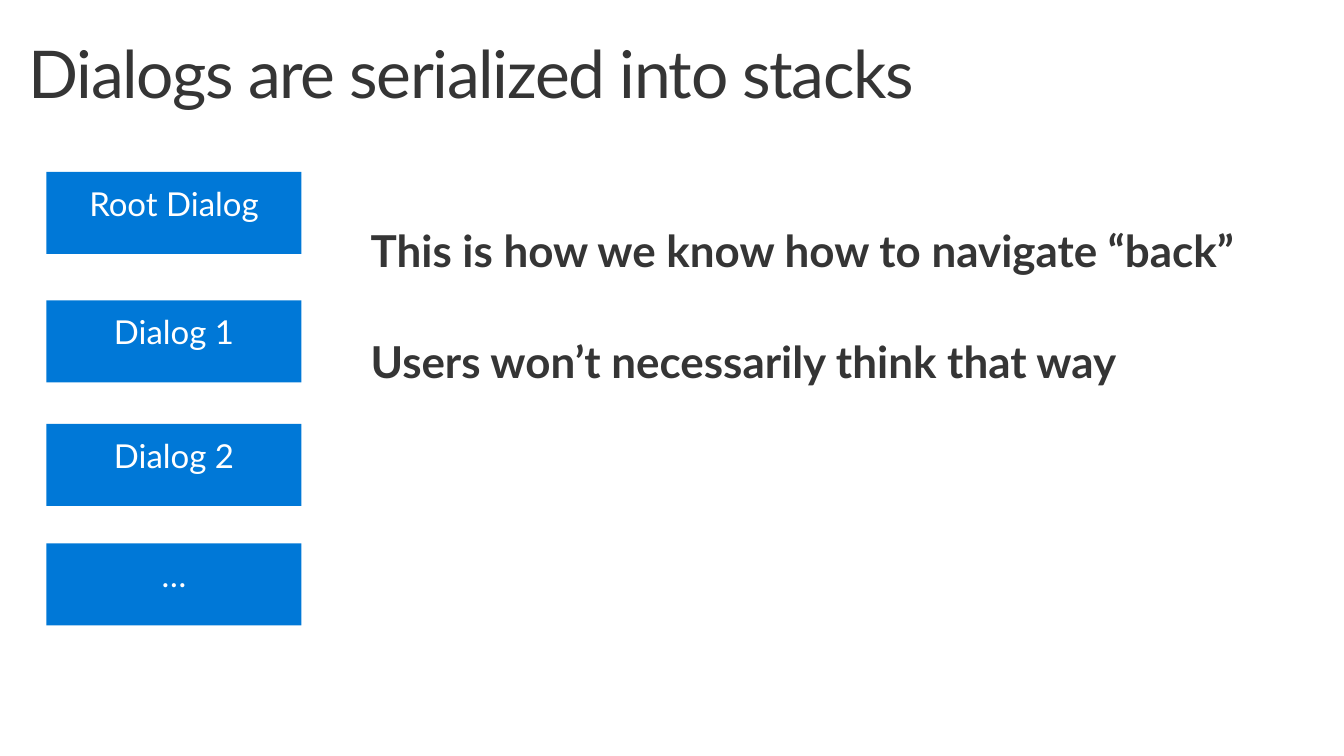
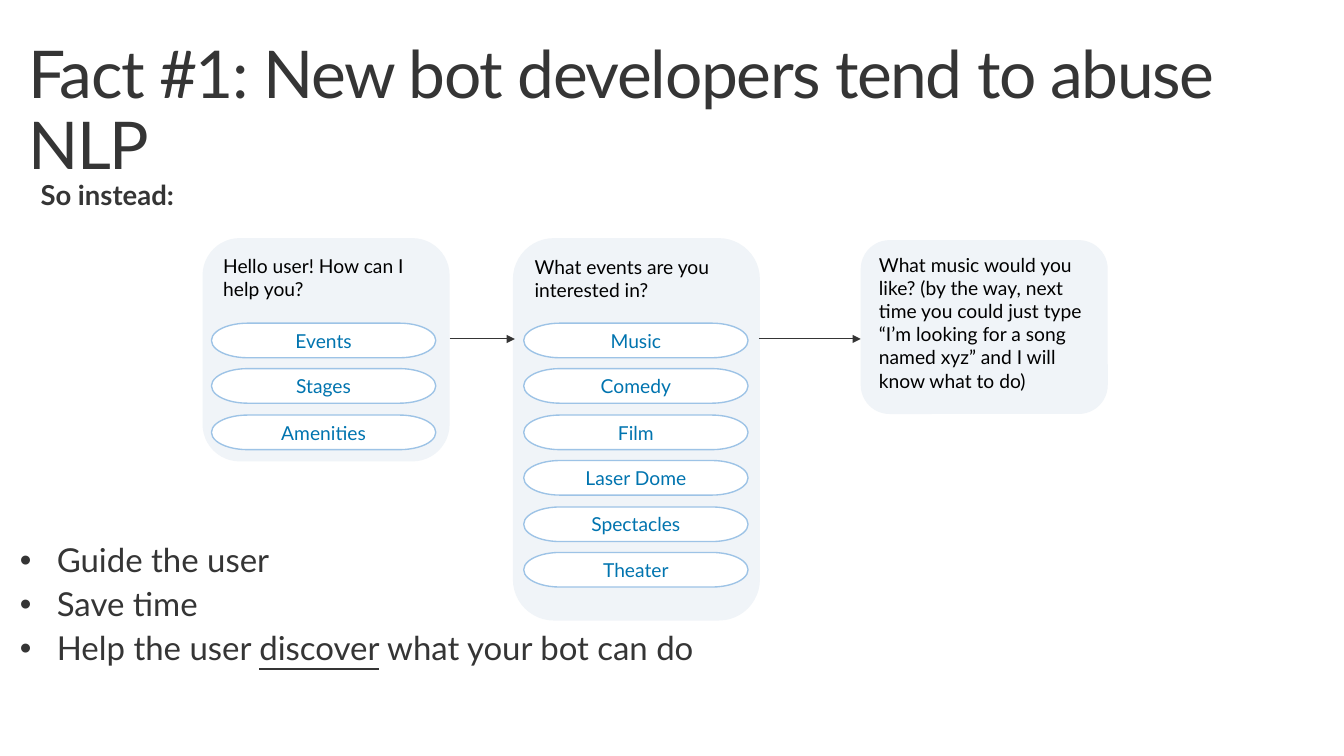
"""Build two slides on dialog stacks and guided bot conversations."""
from lxml import etree
from pptx import Presentation
from pptx import util as u
from pptx.dml.color import RGBColor
from pptx.enum import shapes, text
from pptx.oxml.ns import qn

PX = 9144
FONT = "Lato"
INK, BLUE, CARD, WHITE = "353535", "0078D7", "F0F4F8", "FFFFFF"
PILL_LINE, PILL_TEXT, BLACK = "9DC3E6", "0074AF", "000000"
LEFT, CENTER = text.PP_ALIGN.LEFT, text.PP_ALIGN.CENTER
TOP, MIDDLE = text.MSO_ANCHOR.TOP, text.MSO_ANCHOR.MIDDLE
SHAPE = shapes.MSO_SHAPE


def colour(value):
    return RGBColor.from_string(value)


def write(box, lines, size, ink, margins=(10, 5), align=LEFT, anchor=TOP,
          bold=False, spacing=1, after=0):
    frame = box.text_frame
    frame.word_wrap = True
    frame.auto_size = text.MSO_AUTO_SIZE.NONE
    frame.vertical_anchor = anchor
    frame.margin_left = frame.margin_right = margins[0] * PX
    frame.margin_top = frame.margin_bottom = margins[1] * PX
    for index, line in enumerate(lines):
        para = frame.add_paragraph() if index else frame.paragraphs[0]
        para.alignment = align
        para.line_spacing = spacing
        para.space_before = u.Pt(0)
        para.space_after = u.Pt(after)
        for content in [line] if isinstance(line, str) else line:
            span = para.add_run()
            span.text = content
            span.font.name = FONT
            span.font.size = u.Pt(size)
            span.font.bold = bold
            span.font.color.rgb = colour(ink)
    return frame.paragraphs


def place(page, kind, left, top, width, height, fill, line=None):
    box = page.shapes.add_shape(kind, left * PX, top * PX, width * PX, height * PX)
    box.shadow.inherit = False
    box.fill.solid()
    box.fill.fore_color.rgb = colour(fill)
    if line:
        box.line.color.rgb = colour(line)
        box.line.width = u.Pt(1)
    else:
        box.line.fill.background()
    return box


deck = Presentation()
deck.slide_width, deck.slide_height = 1360 * PX, 765 * PX
body_style = dict(ink=INK, margins=(20, 16), spacing=0.9)

pages = []
for heading, area in [
    ("Dialogs are serialized into stacks", (355, 216, 940, 195)),
    ("Fact #1: New bot developers tend to abuse NLP", (0, 535, 1313, 158)),
]:
    page = deck.slides.add_slide(deck.slide_layouts[1])
    title, body = page.placeholders
    for box, bounds in [(title, (13, 32, 1300, 100)), (body, area)]:
        box.left, box.top, box.width, box.height = [side * PX for side in bounds]
    for para in write(title, [heading], 48, INK, margins=(16, 10), spacing=0.9):
        para.runs[0].font._element.set("spc", "-100")
    pages.append((page, body))

page, body = pages[0]
messages = ["This is how we know how to navigate “back”",
            "Users won’t necessarily think that way"]
for para in write(body, messages, 32, bold=True, after=46.5, **body_style):
    properties = para._p.get_or_add_pPr()
    properties.set("marL", "0")
    properties.set("indent", "0")
    etree.SubElement(properties, qn("a:buNone"))

for label, top in [("Root Dialog", 174), ("Dialog 1", 304), ("Dialog 2", 429), ("…", 550)]:
    box = place(page, SHAPE.RECTANGLE, 47, top, 258, 83, BLUE)
    write(box, [label], 24, WHITE, margins=(20, 16), align=CENTER, spacing=0.9)

page, body = pages[1]
benefits = ["Guide the user", "Save time",
            ["Help the user ", "discover", " what your bot can do"]]
bullets = write(body, benefits, 24, after=6, **body_style)
bullets[2].runs[1].font.underline = True

lead = page.shapes.add_textbox(21 * PX, 168 * PX, 1265 * PX, 63 * PX)
write(lead, ["So instead:"], 20, bold=True, after=6, **body_style)

cards = [
    (205, 241, 226, "Hello user! How can I help you?", 214,
     ["Events", "Stages", "Amenities"]),
    (519, 241, 387, "What events are you interested in?", 530,
     ["Music", "Comedy", "Film", "Laser Dome", "Spectacles", "Theater"]),
    (871, 243, 176,
     "What music would you like? (by the way, next time you could just type "
     "“I’m looking for a song named xyz” and I will know what to do)", 0, []),
]
for left, top, height, question, pill_left, choices in cards:
    card = place(page, SHAPE.ROUNDED_RECTANGLE, left, top, 250, height, CARD)
    write(card, [question], 14, BLACK)
    for row, choice in enumerate(choices):
        pill = place(page, SHAPE.FLOWCHART_TERMINATOR, pill_left,
                     round(327 + 46.4 * row), 227, 35, WHITE, PILL_LINE)
        write(pill, [choice], 14, PILL_TEXT, align=CENTER, anchor=MIDDLE)

for start, end in [(455, 521), (768, 871)]:
    arrow = page.shapes.add_connector(shapes.MSO_CONNECTOR.STRAIGHT,
                                      start * PX, 343 * PX, end * PX, 343 * PX)
    arrow.line.color.rgb = colour(INK)
    arrow.line.width = u.Pt(0.75)
    etree.SubElement(arrow.line._get_or_add_ln(), qn("a:tailEnd"), type="triangle")
    etree.SubElement(arrow._element.spPr, qn("a:effectLst"))

deck.save("out.pptx")
